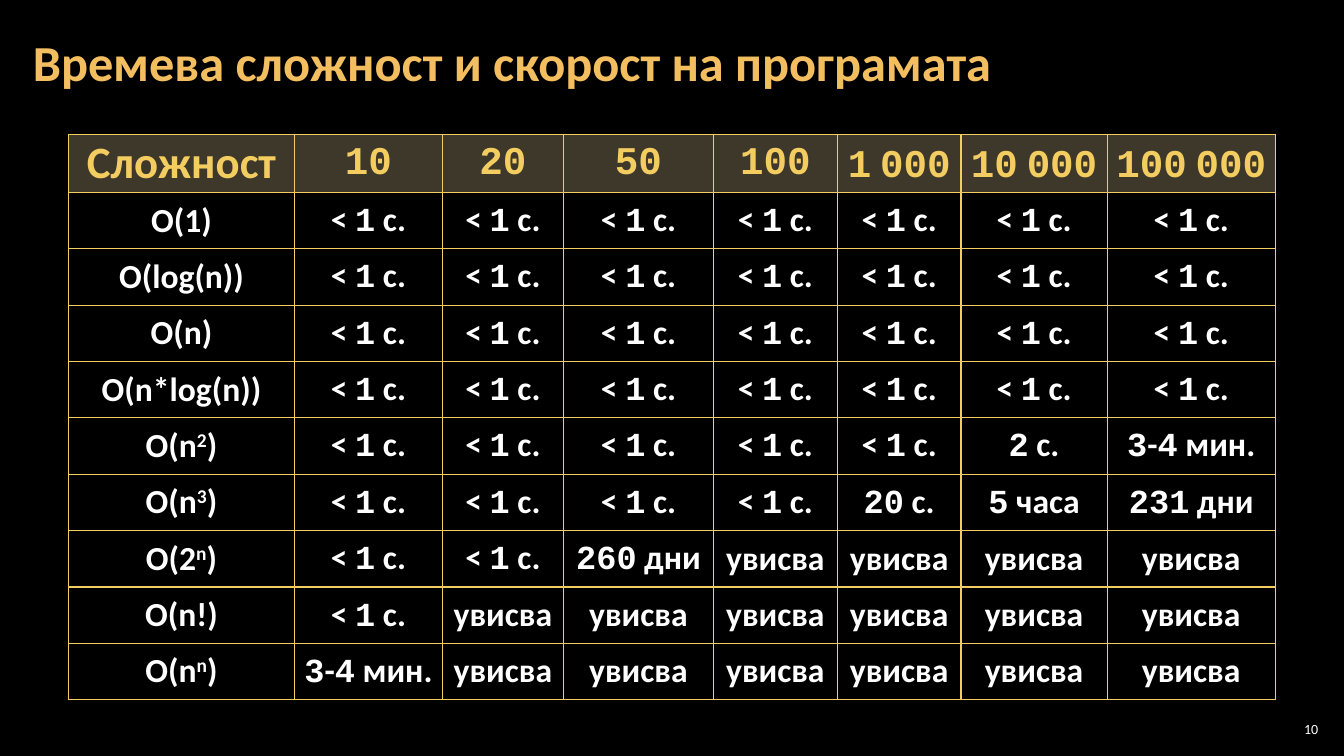
"""Build a slide that ties time complexity to program speed."""
import itertools

import lxml.etree
import pptx
import pptx.dml.color
import pptx.enum.text
import pptx.oxml.ns
import pptx.util

Cm = pptx.util.Cm
Pt = pptx.util.Pt
RGBColor = pptx.dml.color.RGBColor
ALIGN = pptx.enum.text.PP_ALIGN
MIDDLE = pptx.enum.text.MSO_ANCHOR.MIDDLE
qn = pptx.oxml.ns.qn

BLACK = RGBColor(0x00, 0x00, 0x00)
WHITE = RGBColor(0xFF, 0xFF, 0xFF)
ORANGE = RGBColor(0xF3, 0xBE, 0x60)
GOLD = RGBColor(0xF3, 0xCD, 0x60)
BROWN = RGBColor(0x7C, 0x71, 0x54)

SANS = "Calibri"
MONO = "Courier New"
FAST = "< 1 с."
HANG = "увисва"
WIDTHS = [5.69, 3.73, 3.05, 3.78, 3.12, 3.12, 3.68, 4.24]
HEAD = ["Сложност", "10", "20", "50", "100", "1 000", "10 000", "100 000"]
ROWS = [
    ["O(1)"] + [FAST] * 7,
    ["O(log(n))"] + [FAST] * 7,
    ["O(n)"] + [FAST] * 7,
    ["O(n*log(n))"] + [FAST] * 7,
    ["O(n^2^)"] + [FAST] * 5 + ["2 с.", "3-4 мин."],
    ["O(n^3^)"] + [FAST] * 4 + ["20 с.", "5 часа", "231 дни"],
    ["O(2^n^)"] + [FAST] * 2 + ["260 дни"] + [HANG] * 4,
    ["O(n!)", FAST] + [HANG] * 6,
    ["O(n^n^)", "3-4 мин."] + [HANG] * 6,
]


def style(run, size, color, bold=True, face=SANS):
    """Format one run."""
    font = run.font
    font.name, font.size, font.bold = face, Pt(size), bold
    font.color.rgb = color


def add_label(slide, text, box, inset, size, color, bold, align):
    """Add a text box with one line of text."""
    frame = slide.shapes.add_textbox(*map(Cm, box)).text_frame
    frame.word_wrap = True
    frame.vertical_anchor = MIDDLE
    frame.margin_left = frame.margin_right = Cm(inset)
    frame.margin_top = frame.margin_bottom = Cm(0.1)
    frame.text = text
    line = frame.paragraphs[0]
    line.alignment = align
    line.line_spacing = 0.9
    style(line.runs[0], size, color, bold)


def add_border(cell):
    """Draw a thin gold line on all four sides of a cell."""
    props = cell._tc.get_or_add_tcPr()
    for place, side in enumerate(("lnL", "lnR", "lnT", "lnB")):
        edge = lxml.etree.Element(qn("a:" + side), w=str(Pt(1)))
        fill = lxml.etree.SubElement(edge, qn("a:solidFill"))
        lxml.etree.SubElement(fill, qn("a:srgbClr"), val=str(GOLD))
        props.insert(place, edge)


def fill_cell(cell, shade):
    """Tint a cell half clear, or leave it empty when there is no shade."""
    if shade is None:
        cell.fill.background()
        return
    cell.fill.solid()
    cell.fill.fore_color.rgb = shade
    tint = cell._tc.tcPr.find(".//" + qn("a:srgbClr"))
    lxml.etree.SubElement(tint, qn("a:alpha"), val="50000")


def set_cell(cell, shade):
    """Set the fill, edges and margins of a cell and return its line."""
    fill_cell(cell, shade)
    add_border(cell)
    cell.vertical_anchor = MIDDLE
    cell.margin_left = cell.margin_right = Cm(0.18)
    cell.margin_top = cell.margin_bottom = 0
    line = cell.text_frame.paragraphs[0]
    line.alignment = ALIGN.CENTER
    return line


def write_name(line, text, size, color):
    """Write a formula, with the parts between carets raised."""
    for place, part in enumerate(text.split("^")):
        run = line.add_run()
        run.text = part
        style(run, size, color)
        if place % 2:
            run._r.get_or_add_rPr().set("baseline", "30000")


def write_value(line, text, size, color):
    """Write a value with its digits in the fixed-width face."""
    for digit, part in itertools.groupby(text, str.isdigit):
        run = line.add_run()
        run.text = "".join(part)
        style(run, size, color, face=MONO if digit else SANS)


def add_grid(slide):
    """Add the table of run times."""
    count = len(ROWS) + 1
    frame = slide.shapes.add_table(
        count, len(HEAD), Cm(1.73), Cm(3.38), Cm(sum(WIDTHS)), Cm(14.2))
    table = frame.table
    table.first_row = table.horz_banding = False
    for column, width in zip(table.columns, WIDTHS):
        column.width = Cm(width)
    for y, texts in enumerate([HEAD] + ROWS):
        top = y == 0
        table.rows[y].height = Cm(1.47 if top else 1.42)
        for x, text in enumerate(texts):
            line = set_cell(table.cell(y, x), BROWN if top else None)
            if top:
                line.line_spacing = 0.95
            else:
                line.space_before = line.space_after = Pt(3)
            write = write_value if x else write_name
            size = (28 if x else 32) if top else 24
            write(line, text, size, GOLD if top else WHITE)


def main():
    """Build and save the slide."""
    deck = pptx.Presentation()
    deck.slide_width, deck.slide_height = Cm(33.87), Cm(19.05)
    slide = deck.slides.add_slide(deck.slide_layouts[6])
    slide.background.fill.solid()
    slide.background.fill.fore_color.rgb = BLACK
    add_label(slide, "10", (32.13, 18.14, 1.19, 0.53), 0.1,
              10, WHITE, False, ALIGN.RIGHT)
    add_label(slide, "Времева сложност и скорост на програмата",
              (0.53, 0.1, 26.59, 3.07), 0.3, 36, ORANGE, True, ALIGN.LEFT)
    add_grid(slide)
    deck.save("out.pptx")


if __name__ == "__main__":
    main()
